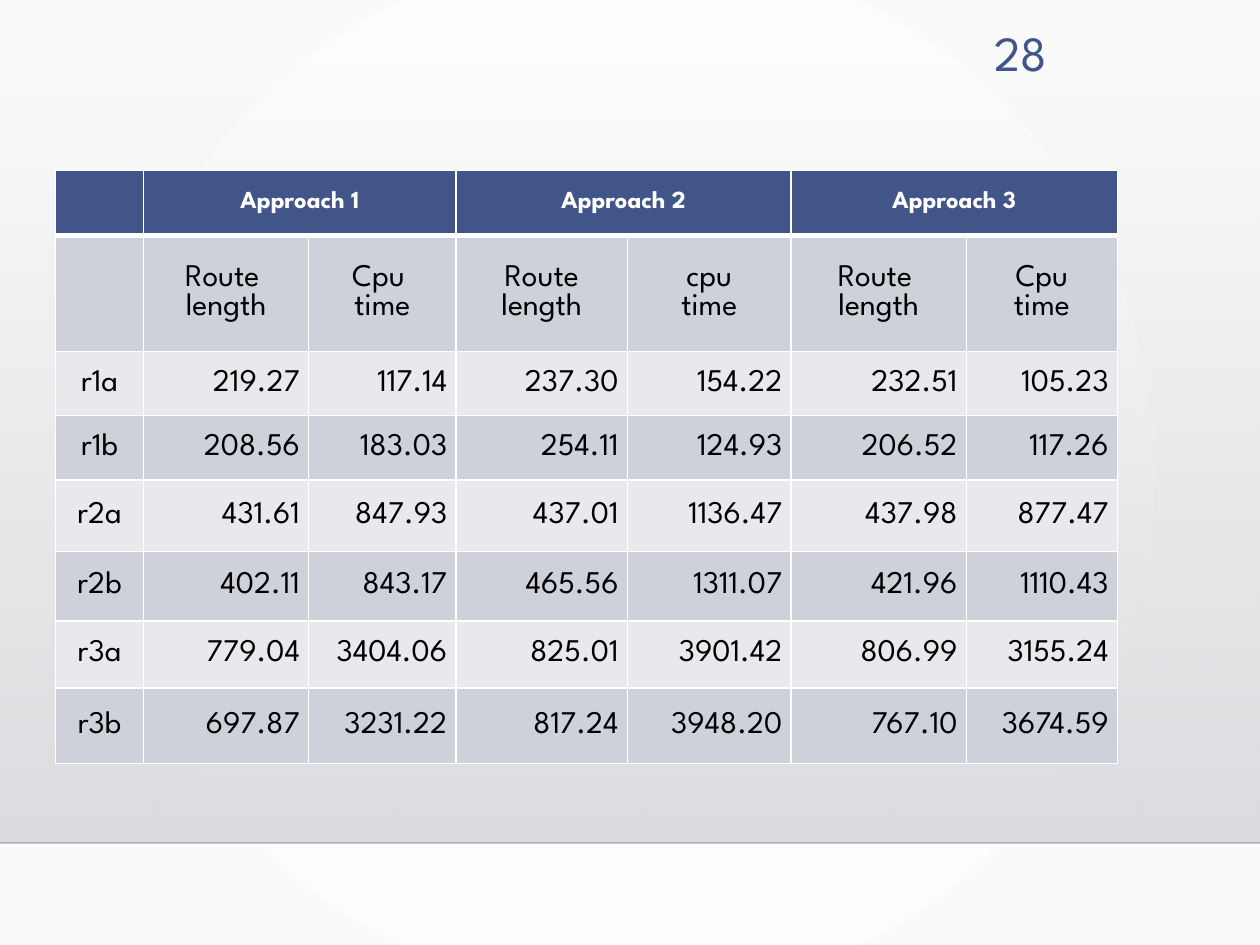
from pptx import Presentation
from pptx.dml.color import RGBColor
from pptx.enum.shapes import MSO_CONNECTOR, MSO_SHAPE
from pptx.enum.text import MSO_ANCHOR, PP_ALIGN
from pptx.oxml import parse_xml
from pptx.oxml.ns import nsdecls, qn
from pptx.util import Inches, Pt

LINE, RECT = MSO_CONNECTOR.STRAIGHT, MSO_SHAPE.RECTANGLE
MIDDLE = MSO_ANCHOR.MIDDLE
CENTER, RIGHT = PP_ALIGN.CENTER, PP_ALIGN.RIGHT

FONT = "League Spartan"
NAVY = RGBColor(0x41, 0x55, 0x88)
WHITE = RGBColor(0xFF, 0xFF, 0xFF)
BLACK = RGBColor(0, 0, 0)
RULE = RGBColor(0, 0, 1)
DARK_BAND = RGBColor(0xCF, 0xD1, 0xDA)
LIGHT_BAND = RGBColor(0xE9, 0xE9, 0xED)
PAPER = RGBColor(0xFA, 0xFA, 0xFA)
SHADE_TOP = RGBColor(0xDC, 0xDC, 0xE0)
SHADE_BOTTOM = RGBColor(0xDE, 0xDE, 0xE2)

RADIAL = ('<a:path path="circle"><a:fillToRect l="50000" t="50000" '
          'r="50000" b="50000"/></a:path>')
DOWNWARD = '<a:lin ang="5400000" scaled="0"/>'

WIDTH, HEIGHT = Inches(10), Inches(7.5)
COLS = [0.7, 1.31, 1.17, 1.36, 1.3, 1.39, 1.2]
ROWS = [0.52, 0.92, 0.51, 0.51, 0.57, 0.55, 0.53, 0.6]
HEADER = ["", "Approach 1", "", "Approach 2", "", "Approach 3", ""]
SUBHEADER = ["", "Route \nlength", "Cpu \ntime", "Route\nlength",
             "cpu\ntime", "Route \nlength", "Cpu\ntime"]
RESULTS = [
    ["r1a", "219.27", "117.14", "237.30", "154.22", "232.51", "105.23"],
    ["r1b", "208.56", "183.03", "254.11", "124.93", "206.52", "117.26"],
    ["r2a", "431.61", "847.93", "437.01", "1136.47", "437.98", "877.47"],
    ["r2b", "402.11", "843.17", "465.56", "1311.07", "421.96", "1110.43"],
    ["r3a", "779.04", "3404.06", "825.01", "3901.42", "806.99", "3155.24"],
    ["r3b", "697.87", "3231.22", "817.24", "3948.20", "767.10", "3674.59"],
]
HEADER_FONT = {"name": FONT, "size": Pt(14), "bold": True}
BODY_FONT = {"name": FONT, "size": Pt(18), "bold": False}
NUMBER_FONT = {"name": FONT, "size": Pt(28), "bold": False}


def write_text(tf, text, font, color, align):
    tf.text = text
    for p in tf.paragraphs:
        p.alignment = align
        for r in p.runs:
            for key, value in font.items():
                setattr(r.font, key, value)
            r.font.color.rgb = color


def set_gradient(fill_el, stops, direction):
    gs = "".join(
        f'<a:gs pos="{pos * 1000}"><a:srgbClr val="{color}">'
        f'<a:alpha val="{alpha * 1000}"/></a:srgbClr></a:gs>'
        for pos, color, alpha in stops)
    grad = parse_xml(f'<a:gradFill {nsdecls("a")} rotWithShape="1">'
                     f'<a:gsLst>{gs}</a:gsLst>{direction}</a:gradFill>')
    fill_el.getparent().replace(fill_el, grad)


def set_borders(cell, widths):
    tc_pr = cell._tc.get_or_add_tcPr()
    for i, (side, width) in enumerate(widths.items()):
        tc_pr.insert(i, parse_xml(
            f'<a:ln{side} {nsdecls("a")} w="{Pt(width)}"><a:solidFill>'
            f'<a:srgbClr val="{WHITE}"/></a:solidFill></a:ln{side}>'))


def add_backdrop(slide):
    slide.background.fill.solid()
    bg_pr = next(slide.element.iter(qn("p:bgPr")))
    set_gradient(bg_pr.find(qn("a:solidFill")),
                 [(0, WHITE, 100), (100, PAPER, 100)], RADIAL)

    top, bottom = Inches(0.51), Inches(6.69)
    sp = slide.shapes.add_shape(RECT, 0, top, WIDTH, bottom - top)
    sp.shadow.inherit = False
    sp.line.fill.background()
    sp.fill.solid()
    set_gradient(sp._element.spPr.find(qn("a:solidFill")),
                 [(0, SHADE_TOP, 0), (100, SHADE_BOTTOM, 100)], DOWNWARD)

    rule = slide.shapes.add_connector(LINE, 0, bottom, WIDTH, bottom)
    rule.line.width = Pt(1)
    rule.line.color.rgb = RULE
    sp_pr = rule._element.spPr
    next(sp_pr.iter(qn("a:srgbClr"))).append(
        parse_xml(f'<a:alpha {nsdecls("a")} val="20000"/>'))
    sp_pr.append(parse_xml(f'<a:effectLst {nsdecls("a")}/>'))


def format_cell(cell, row, col, text):
    header = row == 0
    cell.vertical_anchor = MIDDLE
    cell.margin_left = cell.margin_right = Inches(0.07)
    cell.margin_top = cell.margin_bottom = Inches(0.04)
    cell.fill.solid()
    cell.fill.fore_color.rgb = (
        NAVY if header else DARK_BAND if row % 2 else LIGHT_BAND)
    set_borders(cell, {"L": 1, "R": 1, "T": 3 if row == 1 else 1,
                       "B": 3 if header else 1})
    write_text(cell.text_frame, text,
               HEADER_FONT if header else BODY_FONT,
               WHITE if header else BLACK,
               RIGHT if row > 1 and col > 0 else CENTER)


def add_results_table(slide):
    content = [HEADER, SUBHEADER, *RESULTS]
    table = slide.shapes.add_table(
        len(ROWS), len(COLS), Inches(0.44), Inches(1.35),
        Inches(sum(COLS)), Inches(sum(ROWS))).table
    for column, width in zip(table.columns, COLS):
        column.width = Inches(width)
    for row, height in zip(table.rows, ROWS):
        row.height = Inches(height)
    for r, texts in enumerate(content):
        for c, text in enumerate(texts):
            format_cell(table.cell(r, c), r, c, text)
    for c in range(1, len(COLS), 2):
        table.cell(0, c).merge(table.cell(0, c + 1))


def add_page_number(slide):
    box = slide.shapes.add_textbox(Inches(7.54), Inches(0.14),
                                   Inches(0.87), Inches(0.55))
    tf = box.text_frame
    tf.word_wrap = True
    tf.vertical_anchor = MIDDLE
    write_text(tf, "28", NUMBER_FONT, NAVY, RIGHT)


def main():
    prs = Presentation()
    prs.slide_width, prs.slide_height = WIDTH, HEIGHT
    slide = prs.slides.add_slide(prs.slide_layouts[6])
    add_backdrop(slide)
    add_results_table(slide)
    add_page_number(slide)
    prs.save("out.pptx")


main()
